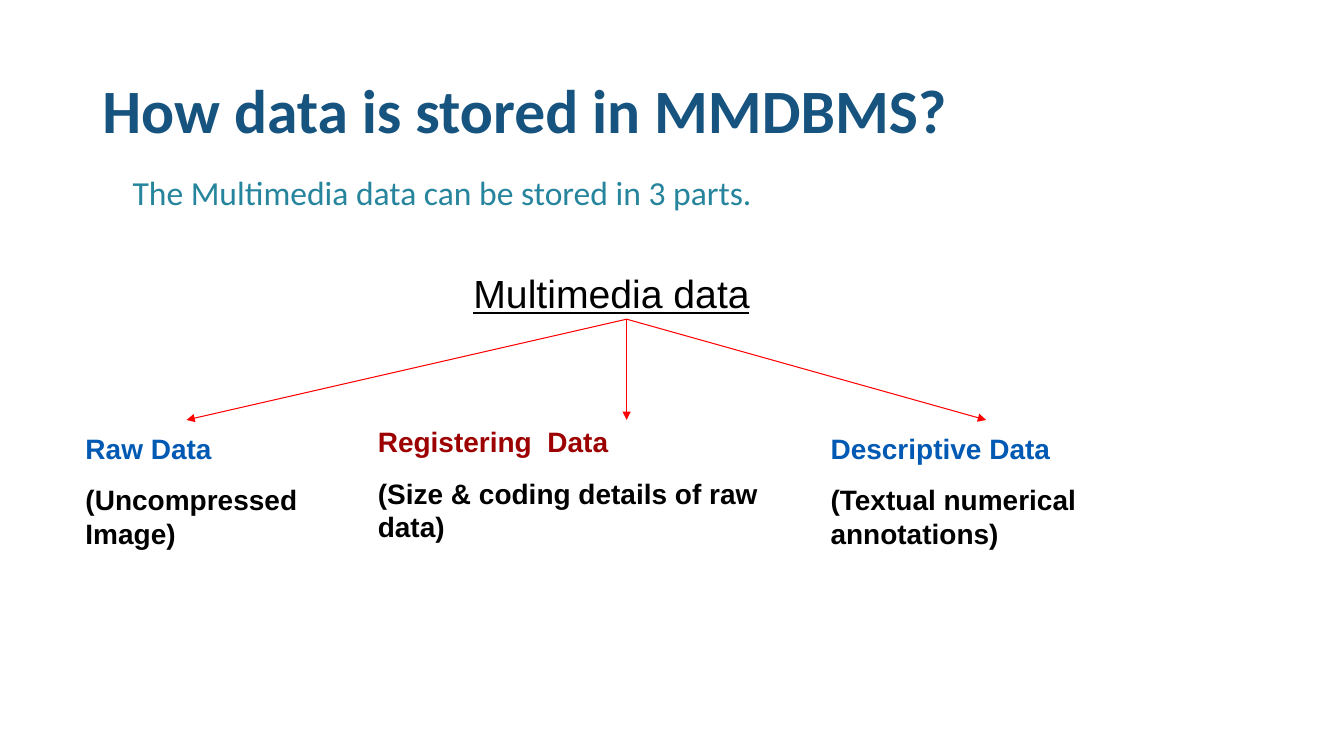
from dataclasses import dataclass

from lxml.etree import SubElement
from pptx import Presentation
from pptx.dml.color import RGBColor
from pptx.enum.shapes import MSO_CONNECTOR as Connector
from pptx.enum.text import MSO_ANCHOR as Anchor, PP_ALIGN as Align
from pptx.oxml.ns import qn
from pptx.slide import Slide
from pptx.text.text import TextFrame
from pptx.util import Inches, Length, Pt

SLIDE_WIDTH, SLIDE_HEIGHT = Inches(13.34), Inches(7.5)
COLUMNS, ROWS = 160, 90

BLUE, DARK_RED, BLACK, RED = "0059B2", "9C0000", "000000", "FF0000"
ARROW_START = (74.6, 38)
ARROW_END_ROW = 50


@dataclass(frozen=True)
class Area:
    """A rectangle in grid columns and rows."""
    left: float
    top: float
    width: float
    height: float

    def lengths(self) -> tuple[Length, Length, Length, Length]:
        return (across(self.left), down(self.top),
                across(self.width), down(self.height))


@dataclass(frozen=True)
class DataPart:
    heading: str
    detail: str
    color: str
    area: Area
    arrow_column: float


PARTS = (
    DataPart("Raw Data", "(Uncompressed Image)", BLUE,
             Area(9, 50.8, 28, 15.4), 22.2),
    DataPart("Registering  Data", "(Size & coding details of raw data)", DARK_RED,
             Area(43.8, 50, 54.2, 21.4), 74.6),
    DataPart("Descriptive Data", "(Textual numerical annotations)", BLUE,
             Area(97.7, 50.8, 45.5, 21.4), 117.4),
)


def across(columns: float) -> Length:
    return Length(round(SLIDE_WIDTH * columns / COLUMNS))


def down(rows: float) -> Length:
    return Length(round(SLIDE_HEIGHT * rows / ROWS))


def rgb(color: str) -> RGBColor:
    return RGBColor.from_string(color)


def write(frame: TextFrame, text: str, *, size: float, color: str,
          font: str = "Arial", bold: bool = False, underline: bool = False,
          align: Align = Align.LEFT, before: float = 0,
          line_spacing: float = 1.0) -> None:
    """Fill the frame's empty first paragraph, or add another one."""
    para = frame.paragraphs[0] if not frame.text else frame.add_paragraph()
    para.alignment = align
    para.space_before = Pt(before)
    para.line_spacing = line_spacing
    span = para.add_run()
    span.text = text
    span.font.name = font
    span.font.size = Pt(size)
    span.font.bold = bold
    span.font.underline = underline
    span.font.color.rgb = rgb(color)


def add_text_box(slide: Slide, area: Area) -> TextFrame:
    frame = slide.shapes.add_textbox(*area.lengths()).text_frame
    frame.word_wrap = True
    return frame


def add_arrow(slide: Slide, end_column: float) -> None:
    start_column, start_row = ARROW_START
    arrow = slide.shapes.add_connector(
        Connector.STRAIGHT, across(start_column), down(start_row),
        across(end_column), down(ARROW_END_ROW))
    arrow.line.color.rgb = rgb(RED)
    arrow.line.width = Pt(0.75)
    SubElement(arrow.line._get_or_add_ln(), qn("a:tailEnd"), type="triangle")
    SubElement(arrow._element.spPr, qn("a:effectLst"))


def add_title(slide: Slide, text: str, area: Area) -> None:
    title = slide.shapes.title
    title.left, title.top, title.width, title.height = area.lengths()
    title.text_frame.vertical_anchor = Anchor.MIDDLE
    write(title.text_frame, text, size=44, color="16537F", font="Calibri",
          bold=True, line_spacing=0.9)


def add_part(slide: Slide, part: DataPart) -> None:
    frame = add_text_box(slide, part.area)
    for text, color in ((part.heading, part.color), (part.detail, BLACK)):
        write(frame, text, size=20, color=color, bold=True, before=12.5)
    add_arrow(slide, part.arrow_column)


def main() -> None:
    deck = Presentation()
    deck.slide_width, deck.slide_height = SLIDE_WIDTH, SLIDE_HEIGHT
    slide = deck.slides.add_slide(deck.slide_layouts.get_by_name("Title Only"))

    add_title(slide, "How data is stored in MMDBMS?", Area(11, 4.8, 138, 17.4))
    write(add_text_box(slide, Area(14.6, 19.9, 95.3, 6)),
          "The Multimedia data can be stored in 3 parts.",
          size=24, color="26859D", font="Calibri")
    write(add_text_box(slide, Area(9.8, 31.5, 126, 6.8)), "Multimedia data",
          size=28, color=BLACK, underline=True, align=Align.CENTER, before=17.5)
    for part in PARTS:
        add_part(slide, part)

    deck.save("out.pptx")


if __name__ == "__main__":
    main()
